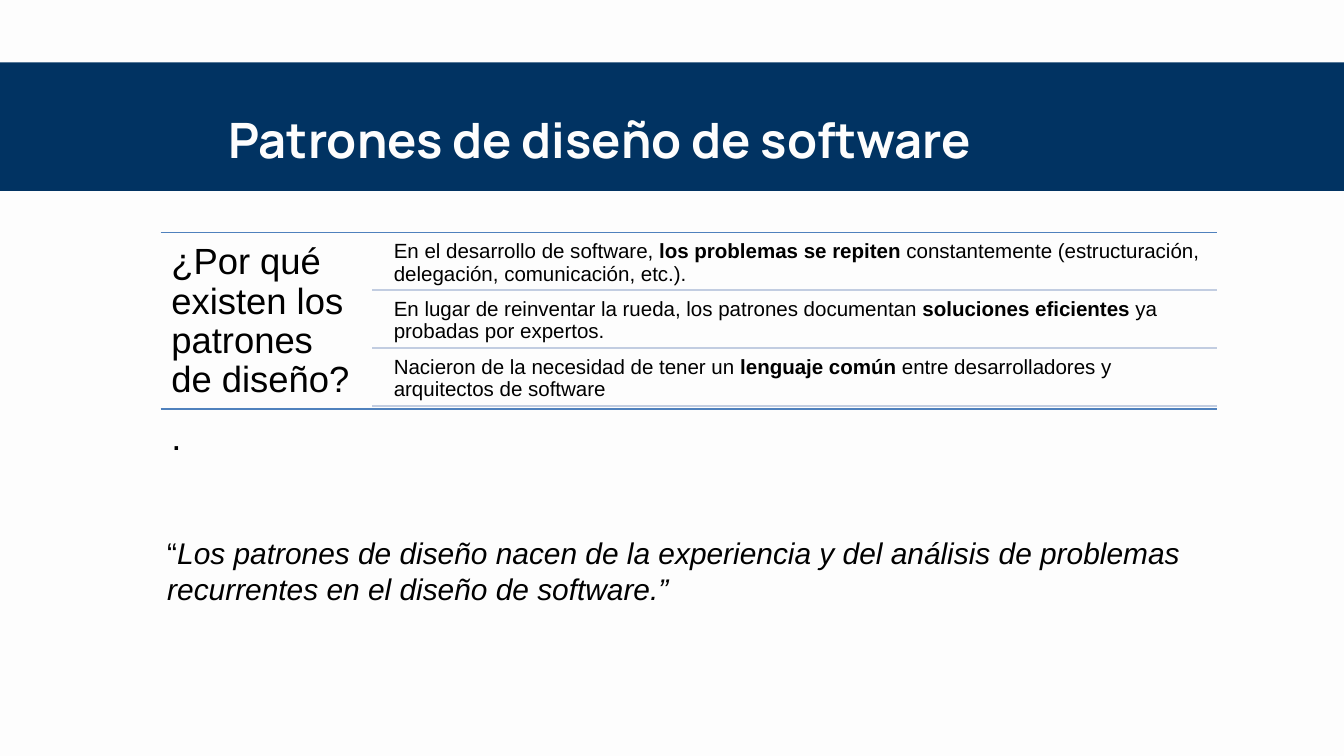
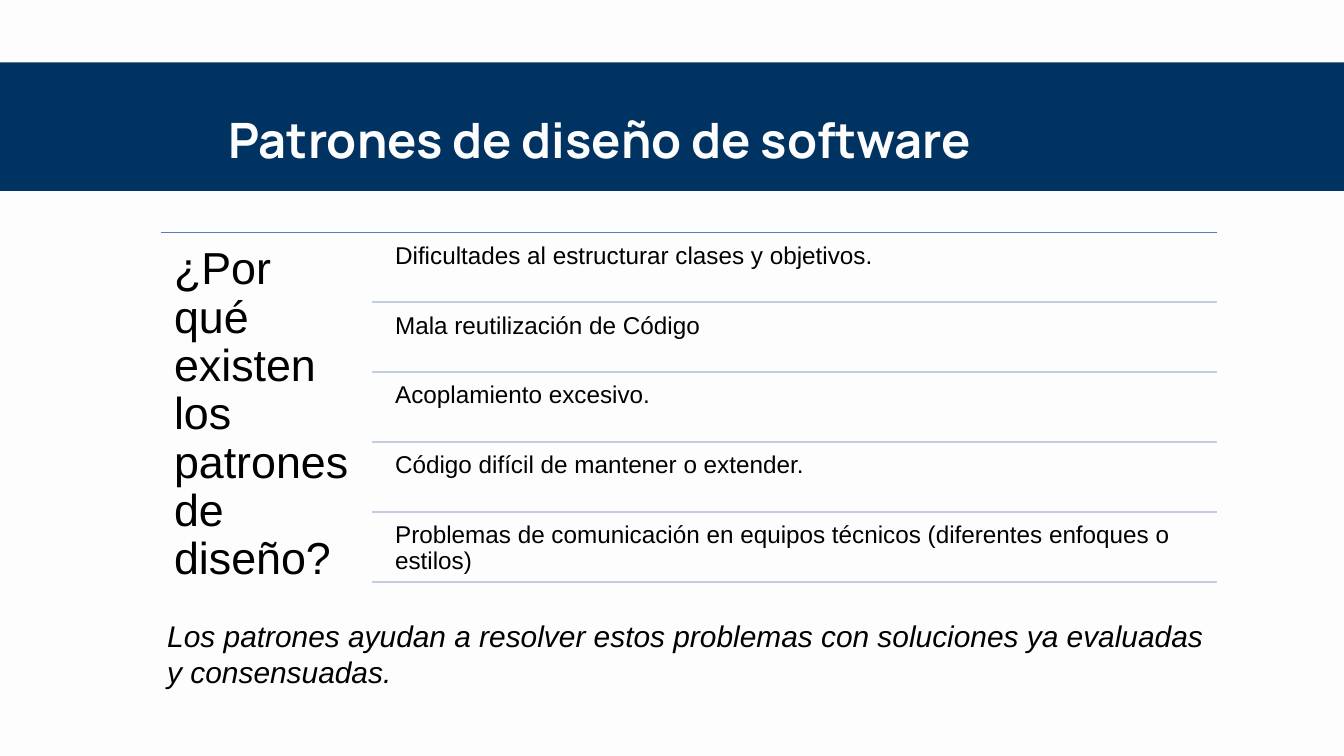
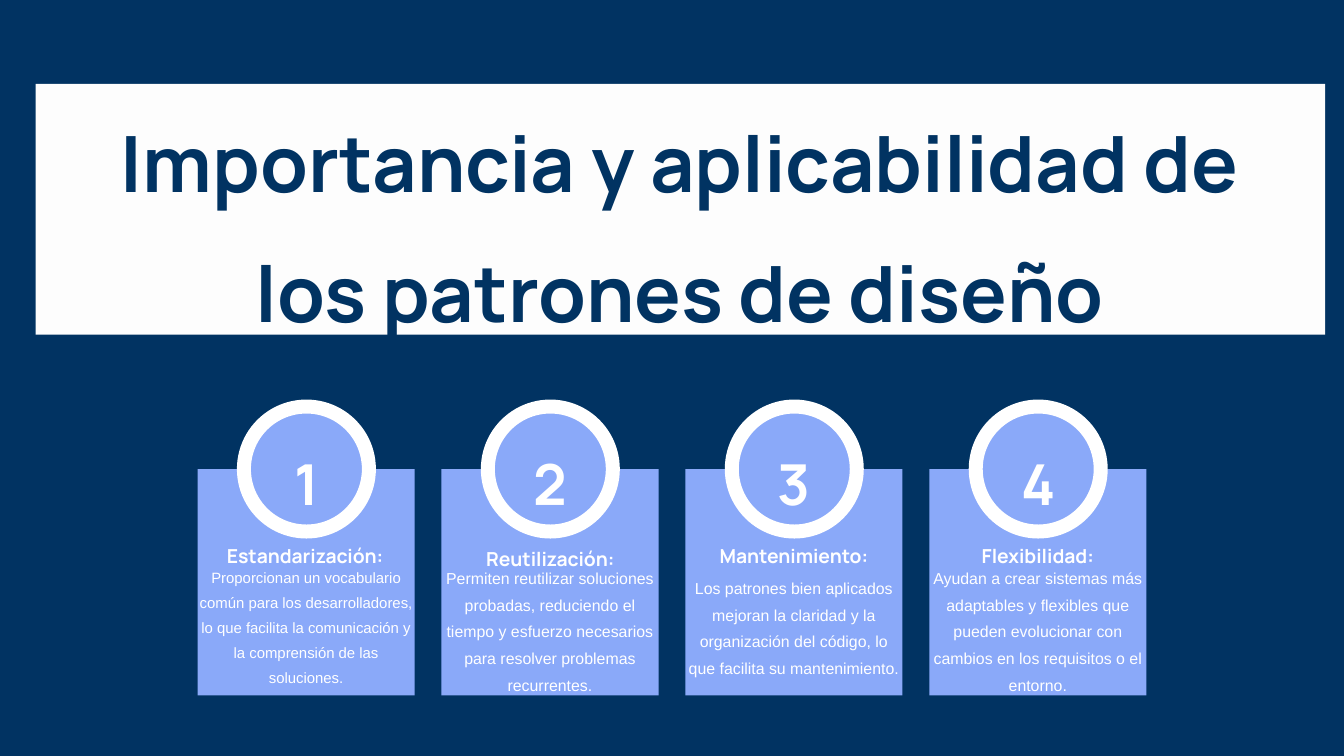
from dataclasses import dataclass

from lxml.etree import SubElement
from pptx import Presentation
from pptx.dml.color import RGBColor
from pptx.enum.shapes import MSO_CONNECTOR, MSO_SHAPE
from pptx.enum.text import MSO_AUTO_SIZE, PP_ALIGN
from pptx.oxml.ns import qn
from pptx.util import Inches, Pt


@dataclass(frozen=True)
class Theme:
    paper: str = "FDFDFD"
    navy: str = "013362"
    sky: str = "8AA9F9"
    white: str = "FFFFFF"
    black: str = "000000"
    rule: str = "4F81BD"
    pale: str = "C2CDE1"
    head: str = "Manrope"
    body: str = "Arial"
    title: float = 52.2
    cover: float = 83.2
    digit: float = 60.5
    label: float = 20.7
    quote: float = 32


class Deck:
    def __init__(self, theme):
        self.theme = theme
        self.file = Presentation()
        self.file.slide_width = Inches(20)
        self.file.slide_height = Inches(11.25)
        self.slide = None

    def page(self, color):
        self.slide = self.file.slides.add_slide(self.file.slide_layouts[6])
        fill = self.slide.background.fill
        fill.solid()
        fill.fore_color.rgb = RGBColor.from_string(color)

    def shape(self, kind, box, color, edge=None, width=0):
        item = self.slide.shapes.add_shape(kind, *map(Inches, box))
        item.shadow.inherit = False
        item.fill.solid()
        item.fill.fore_color.rgb = RGBColor.from_string(color)
        if edge:
            item.line.color.rgb = RGBColor.from_string(edge)
            item.line.width = Pt(width)
        else:
            item.line.fill.background()

    def line(self, left, right, y, color):
        item = self.slide.shapes.add_connector(
            MSO_CONNECTOR.STRAIGHT, *map(Inches, (left, y, right, y)))
        item.line.color.rgb = RGBColor.from_string(color)
        item.line.width = Pt(2)
        SubElement(item._element.spPr, qn("a:effectLst"))

    def text(self, box, runs, size, color, pad=0, space=None, grow=False, align=None, **style):
        """Add a text box; runs is a string or a list of (text, font changes)."""
        frame = self.slide.shapes.add_textbox(*map(Inches, box)).text_frame
        frame.word_wrap = True
        frame.auto_size = MSO_AUTO_SIZE.SHAPE_TO_FIT_TEXT if grow else MSO_AUTO_SIZE.NONE
        if pad is not None:
            for side in ("left", "top", "right", "bottom"):
                setattr(frame, f"margin_{side}", Inches(pad))
        para = frame.paragraphs[0]
        para.line_spacing = space
        para.alignment = align
        base = {"name": self.theme.body, "size": Pt(size), **style}
        for words, change in [(runs, {})] if isinstance(runs, str) else runs:
            run = para.add_run()
            run.text = words
            for key, value in {**base, **change}.items():
                setattr(run.font, key, value)
            run.font.color.rgb = RGBColor.from_string(color)

    def head(self, box, words, size, color, align=PP_ALIGN.CENTER):
        self.text(box, words, size, color, space=1.4, grow=True, align=align,
                  name=self.theme.head, bold=True)

    def topic(self):
        """Start a light page with the title band."""
        look = self.theme
        self.page(look.paper)
        self.shape(MSO_SHAPE.RECTANGLE, (-0.64, 0.93, 21.28, 1.91), look.navy)
        self.head((3.4, 1.29, 11.77, 0.88), "Patrones de diseño de software",
                  look.title, look.paper, PP_ALIGN.LEFT)

    def ask(self, top, tall, words, size, pad):
        """Draw a full rule with large words below it on the left."""
        self.line(LEFT, RIGHT, top, self.theme.rule)
        self.text((LEFT, top, 3.14, tall), words, size, self.theme.black, pad, 0.9)

    def rows(self, items, step, gap, size, pad):
        for i, item in enumerate(items):
            top = TOP + i * step
            self.text((5.77, top + gap, 12.34, step - gap), item, size,
                      self.theme.black, pad, 0.9)
            self.line(5.54, RIGHT, top + step, self.theme.pale)

    def quote(self, top, runs):
        self.text((LEFT, top, 15.71, 1.18), runs, self.theme.quote,
                  self.theme.black, pad=None, grow=True)

    def card(self, x, digit, label, spot, words, top, tall, size):
        look = self.theme
        shift, y, wide = spot
        self.shape(MSO_SHAPE.RECTANGLE, (x, 6.98, CARD, 3.37), look.sky)
        self.shape(MSO_SHAPE.OVAL, (x + 0.69, 6.05, 1.86, 1.86), look.sky, look.white, 15)
        self.head((x + 1.2, 6.28, 0.84, 1.02), digit, look.digit, look.white)
        self.head((x + shift, y, wide, 0.35), label, look.label, look.white)
        self.text((x, top, CARD, tall), words, size, look.white, space=1.4,
                  grow=True, align=PP_ALIGN.CENTER)


LEFT, RIGHT, TOP = 2.39, 18.11, 3.46
CARD, PITCH = 3.23, 3.63
BOLD, SLANT = {"bold": True}, {"italic": True}
WHY = "¿Por qué existen los patrones de diseño?"
REASONS = [
    [("En el desarrollo de software, ", {}), ("los problemas se repiten", BOLD),
     (" constantemente (estructuración, delegación, comunicación, etc.).", {})],
    [("En lugar de reinventar la rueda, los patrones documentan ", {}),
     ("soluciones eficientes", BOLD), (" ya probadas por expertos.", {})],
    [("Nacieron de la necesidad de tener un ", {}), ("lenguaje común", BOLD),
     (" entre desarrolladores y arquitectos de software", {})],
]
ISSUES = [
    "Dificultades al estructurar clases y objetivos.",
    "Mala reutilización de Código",
    "Acoplamiento excesivo.",
    "Código difícil de mantener o extender.",
    "Problemas de comunicación en equipos técnicos (diferentes enfoques o estilos)",
]
# label, its (shift, top, width), words, their top, height and size
GAINS = [
    ("Estandarización:", (0.33, 7.96, 2.54),
     "Proporcionan un vocabulario común para los desarrolladores, lo que facilita "
     "la comunicación y la comprensión de las soluciones.", 8.35, 1.78, 16),
    ("Reutilización:", (0.35, 8.01, 2.54),
     "Permiten reutilizar soluciones probadas, reduciendo el tiempo y esfuerzo "
     "necesarios para resolver problemas recurrentes.", 8.35, 1.89, 17),
    ("Mantenimiento:", (0.23, 7.96, 2.77),
     "Los patrones bien aplicados mejoran la claridad y la organización del código, "
     "lo que facilita su mantenimiento.", 8.5, 1.49, 17),
    ("Flexibilidad:", (0.2, 7.96, 2.83),
     "Ayudan a crear sistemas más adaptables y flexibles que pueden evolucionar "
     "con cambios en los requisitos o el entorno.", 8.35, 1.89, 17),
]


def origin(deck):
    deck.topic()
    deck.ask(TOP, 2.62, WHY, 39, 0.16)
    deck.rows(REASONS, 0.86, 0.04, 22, 0.09)
    deck.ask(TOP + 2.62, 2.62, ".", 39, 0.16)
    deck.quote(7.91, [
        ("“", {}),
        ("Los patrones de diseño nacen de la experiencia y del análisis de problemas "
         "recurrentes en el diseño de software.”", SLANT)])


def issues(deck):
    deck.topic()
    deck.ask(TOP, 5.24, WHY, 48, 0.2)
    deck.rows(ISSUES, 1.04, 0.05, 26, 0.11)
    deck.quote(9.14, [("Los patrones ayudan a resolver estos problemas con soluciones "
                       "ya evaluadas y consensuadas.", SLANT)])


def gains(deck):
    look = deck.theme
    deck.page(look.navy)
    deck.shape(MSO_SHAPE.RECTANGLE, (0.53, 1.25, 19.19, 3.73), look.paper)
    deck.head((0.98, 1.15, 18.27, 3.36),
              "Importancia y aplicabilidad de los patrones de diseño", look.cover, look.navy)
    for i, gain in enumerate(GAINS):
        deck.card(2.94 + i * PITCH, str(i + 1), *gain)


def main():
    deck = Deck(Theme())
    for build in (origin, issues, gains):
        build(deck)
    deck.file.save("out.pptx")


if __name__ == "__main__":
    main()
